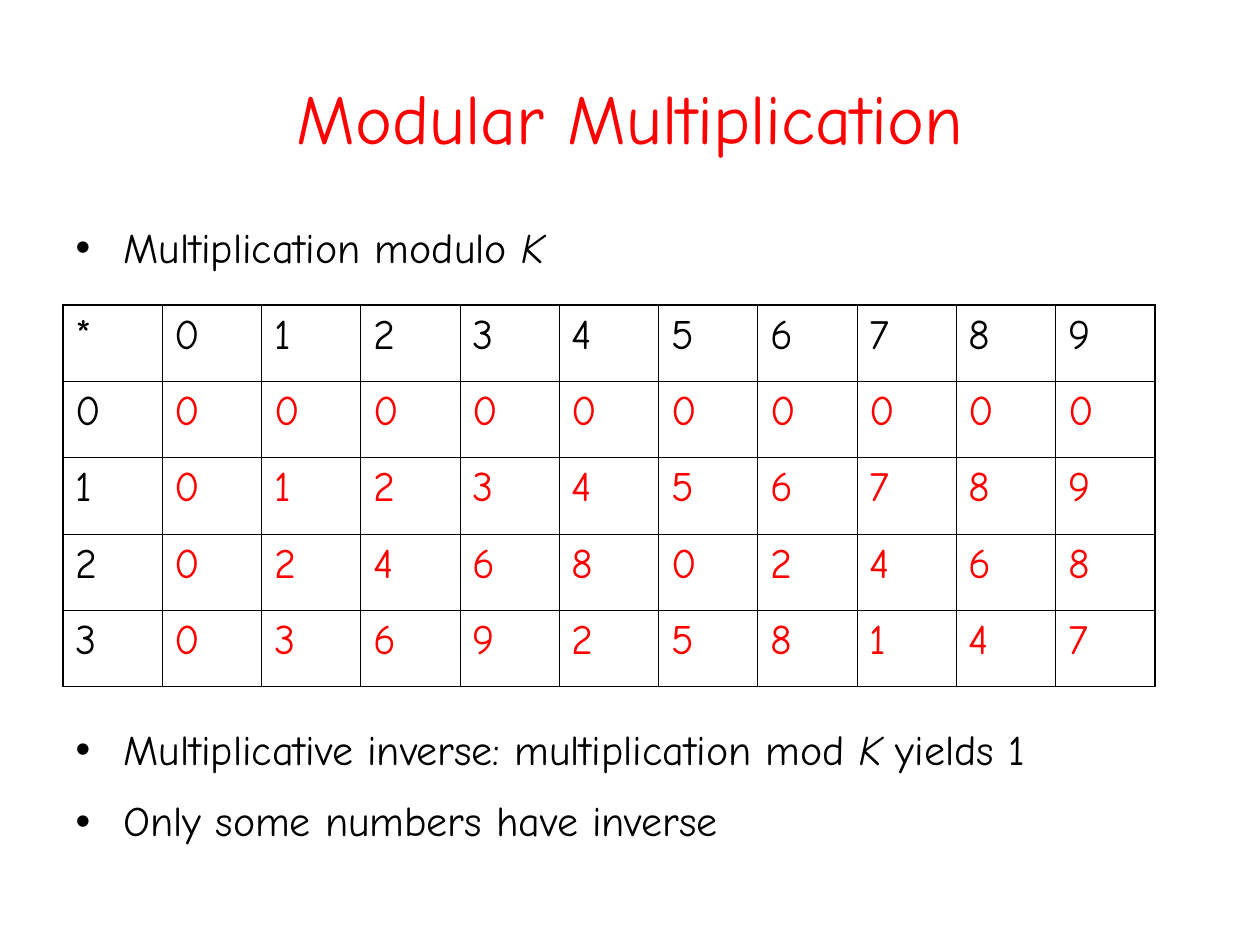
from lxml import etree
from pptx import Presentation
from pptx.dml.color import RGBColor
from pptx.enum.text import MSO_ANCHOR, MSO_AUTO_SIZE, PP_ALIGN
from pptx.oxml.ns import qn
from pptx.util import Inches, Pt

CENTER = PP_ALIGN.CENTER
MIDDLE = MSO_ANCHOR.MIDDLE
NO_FIT = MSO_AUTO_SIZE.NONE
FONT = "Comic Neue"
BLACK = "000000"
RED = "FF0000"
BASE = 10
THICK, THIN = 1.08, 0.45


def rgb(code):
    return RGBColor.from_string(code)


def add_run(para, text, size, color, slant=False):
    run = para.add_run()
    run.text = text
    font = run.font
    font.name = FONT
    font.size = Pt(size)
    font.color.rgb = rgb(color)
    font.italic = slant


def place(shape, box):
    shape.left, shape.top, shape.width, shape.height = map(Inches, box)


def set_edge(cell, tag, width):
    props = cell._tc.get_or_add_tcPr()
    line = etree.SubElement(props, qn("a:" + tag), w=str(int(Pt(width))))
    fill = etree.SubElement(line, qn("a:solidFill"))
    etree.SubElement(fill, qn("a:srgbClr"), val=BLACK)


def fill_title(shape, box, text):
    place(shape, box)
    frame = shape.text_frame
    frame.auto_size = NO_FIT
    frame.vertical_anchor = MIDDLE
    para = frame.paragraphs[0]
    para.alignment = CENTER
    add_run(para, text, 40, RED)


def fill_list(shape, box, items):
    """Each item is its space before in points and its (text, italic) runs."""
    place(shape, box)
    frame = shape.text_frame
    frame.auto_size = NO_FIT
    for i, (gap, runs) in enumerate(items):
        para = frame.add_paragraph() if i else frame.paragraphs[0]
        props = para._p.get_or_add_pPr()
        props.set("marL", str(Inches(0.38)))
        props.set("indent", str(-Inches(0.38)))
        para.line_spacing = 0.9
        para.space_before = Pt(gap)
        para.space_after = Pt(3)
        for text, slant in runs:
            add_run(para, text, 24, BLACK, slant)


def add_grid(slide, box, rows):
    high, wide = len(rows), len(rows[0])
    table = slide.shapes.add_table(high, wide, *map(Inches, box)).table
    table.first_row = table.horz_banding = False
    for col in table.columns:
        col.width = Inches(box[2] / wide)
    for r, row in enumerate(rows):
        table.rows[r].height = Inches(box[3] / high)
        for c, value in enumerate(row):
            cell = table.cell(r, c)
            # Thick outer frame, thin inner lines
            outer = {"lnL": c == 0, "lnR": c == wide - 1,
                     "lnT": r == 0, "lnB": r == high - 1}
            for tag, edge in outer.items():
                set_edge(cell, tag, THICK if edge else THIN)
            cell.fill.background()
            # Headings are black, products are red
            color = RED if r and c else BLACK
            add_run(cell.text_frame.paragraphs[0], str(value), 24, color)


def main():
    deck = Presentation()
    deck.slide_width, deck.slide_height = Inches(10), Inches(7.5)
    slide = deck.slides.add_slide(deck.slide_layouts[1])

    # Title
    fill_title(slide.shapes.title, (0.5, 0.3, 9, 1.25),
               "Modular Multiplication")

    # Bullets, with a wide gap that leaves room for the table
    fill_list(slide.placeholders[1], (0.5, 1.75, 8.75, 5.5), [
        (0, [("Multiplication modulo ", False), ("K", True)]),
        (258, [("Multiplicative inverse: multiplication mod ", False),
               ("K", True), (" yields 1", False)]),
        (12, [("Only some numbers have inverse", False)]),
    ])

    # Table of products
    digits = range(BASE)
    rows = [["*", *digits]]
    rows += [[n, *(n * d % BASE for d in digits)] for n in range(4)]
    add_grid(slide, (0.5, 2.42, 8.67, 3.03), rows)

    deck.save("out.pptx")


if __name__ == "__main__":
    main()
